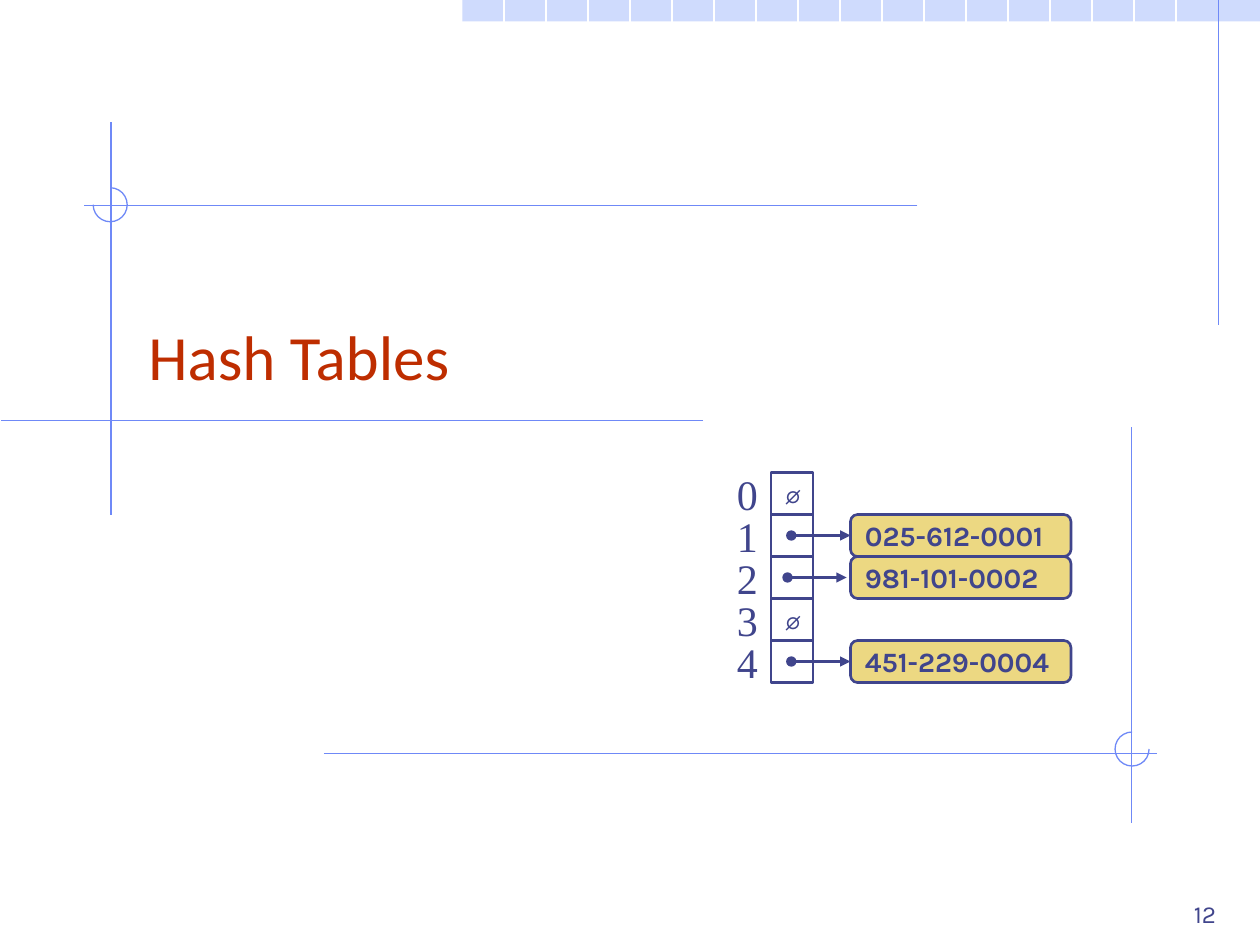
"""Build a section slide that shows a small hash table with chained entries."""
import dataclasses

import lxml.etree
import pptx
import pptx.dml.color
import pptx.enum.shapes
import pptx.enum.text
import pptx.oxml.ns
import pptx.util

Inches = pptx.util.Inches
Shape = pptx.enum.shapes.MSO_SHAPE
Anchor = pptx.enum.text.MSO_ANCHOR
Align = pptx.enum.text.PP_ALIGN


@dataclasses.dataclass(frozen=True)
class Theme:
    paper: str = "FFFFFF"
    band: str = "CFDBFD"
    rule: str = "6F89F7"
    ink: str = "40458C"
    heading: str = "BE2D00"
    entry: str = "ECD882"
    heading_font: str = "Calibri"
    body_font: str = "Karla"
    index_font: str = "Times New Roman"
    heading_size: int = 36
    index_size: int = 24
    empty_size: int = 18
    entry_size: int = 16
    page_size: int = 14
    thin: float = 0.75
    thick: float = 1.5


def color(value):
    return pptx.dml.color.RGBColor.from_string(value)


def write_text(box, text, *, size, font, ink, bold=False, align=Align.LEFT,
               anchor=Anchor.TOP, wrap=False):
    frame = box.text_frame
    frame.word_wrap = wrap
    frame.vertical_anchor = anchor
    para = frame.paragraphs[0]
    para.alignment = align
    span = para.add_run()
    span.text = text
    span.font.size = pptx.util.Pt(size)
    span.font.name = font
    span.font.bold = bold
    span.font.color.rgb = color(ink)


class SlideBuilder:
    def __init__(self, page, theme):
        self.page = page
        self.theme = theme

    def shape(self, kind, left, top, width, height, fill=None, line=None, weight=None):
        box = self.page.shapes.add_shape(
            kind, Inches(left), Inches(top), Inches(width), Inches(height))
        box.shadow.inherit = False
        if fill:
            box.fill.solid()
            box.fill.fore_color.rgb = color(fill)
        else:
            box.fill.background()
        if line:
            box.line.color.rgb = color(line)
            box.line.width = pptx.util.Pt(weight)
        else:
            box.line.fill.background()
        return box

    def line(self, start, end, ink, weight):
        rule = self.page.shapes.add_connector(
            pptx.enum.shapes.MSO_CONNECTOR.STRAIGHT, *map(Inches, (*start, *end)))
        rule.line.color.rgb = color(ink)
        rule.line.width = pptx.util.Pt(weight)
        lxml.etree.SubElement(rule._element.spPr, pptx.oxml.ns.qn("a:effectLst"))
        return rule

    def arrow(self, start, end):
        pointer = self.line(start, end, self.theme.ink, self.theme.thick)
        outline = pointer.line._get_or_add_ln()
        for tag, kind in (("a:headEnd", "oval"), ("a:tailEnd", "triangle")):
            lxml.etree.SubElement(outline, pptx.oxml.ns.qn(tag), type=kind)
        return pointer

    def arc(self, left, top, size, start_angle, end_angle):
        curve = self.shape(Shape.ARC, left, top, size, size,
                           line=self.theme.rule, weight=self.theme.thin)
        for position, angle in enumerate((start_angle, end_angle)):
            curve.adjustments[position] = angle * 0.6

    def text(self, left, top, width, height, text, **style):
        box = self.page.shapes.add_textbox(
            Inches(left), Inches(top), Inches(width), Inches(height))
        write_text(box, text, **style)

    def decoration(self):
        theme = self.theme
        self.shape(Shape.RECTANGLE, 3.67, 0, 6.33, 0.17, fill=theme.band)
        for column in range(12, 29):
            self.line((column / 3, 0), (column / 3, 7.5), theme.paper, theme.thin)
        for start, end in (
            ((9.67, 0), (9.67, 2.58)),
            ((0.88, 0.97), (0.88, 4.09)),
            ((5.58, 3.34), (0.01, 3.34)),
            ((7.28, 1.63), (0.67, 1.63)),
            ((2.57, 5.98), (9.18, 5.98)),
            ((8.98, 3.39), (8.98, 6.53)),
        ):
            self.line(start, end, theme.rule, theme.thin)
        self.arc(0.74, 1.49, 0.27, 270, 180)
        self.arc(8.85, 5.81, 0.27, 0, 270)

    def bucket(self, index, number):
        theme = self.theme
        side = 1 / 3
        top = 3.75 + index * side
        cell = self.shape(Shape.RECTANGLE, 6.12, top, side, side,
                          line=theme.ink, weight=theme.thick)
        self.text(5.75, top - 0.08, 0.37, 0.5, str(index), size=theme.index_size,
                  font=theme.index_font, ink=theme.ink)
        if number is None:
            write_text(cell, "∅", size=theme.empty_size, font=theme.body_font,
                       ink=theme.ink, anchor=Anchor.MIDDLE)
            return
        entry = self.shape(Shape.ROUNDED_RECTANGLE, 6.75, top, 1.75, side,
                           fill=theme.entry, line=theme.ink, weight=theme.thick)
        write_text(entry, number, size=theme.entry_size, font=theme.body_font,
                   ink=theme.ink, bold=True, anchor=Anchor.MIDDLE)
        middle = top + side / 2
        if index == 2:
            self.arrow((6.25, middle), (6.72, middle))
        else:
            self.arrow((6.28, middle), (6.75, middle)).end_connect(entry, 1)


def main():
    deck = pptx.Presentation()
    deck.slide_width, deck.slide_height = Inches(10), Inches(7.5)
    theme = Theme()
    builder = SlideBuilder(deck.slides.add_slide(deck.slide_layouts[6]), theme)
    builder.decoration()
    builder.text(1.08, 1.92, 8.5, 1.25, "Hash Tables", size=theme.heading_size,
                 font=theme.heading_font, ink=theme.heading,
                 anchor=Anchor.BOTTOM, wrap=True)
    numbers = (None, "025-612-0001", "981-101-0002", None, "451-229-0004")
    for index, number in enumerate(numbers):
        builder.bucket(index, number)
    builder.text(7.67, 6.92, 2.08, 0.5, "12", size=theme.page_size,
                 font=theme.body_font, ink=theme.ink, align=Align.RIGHT,
                 anchor=Anchor.BOTTOM, wrap=True)
    deck.save("out.pptx")


if __name__ == "__main__":
    main()
